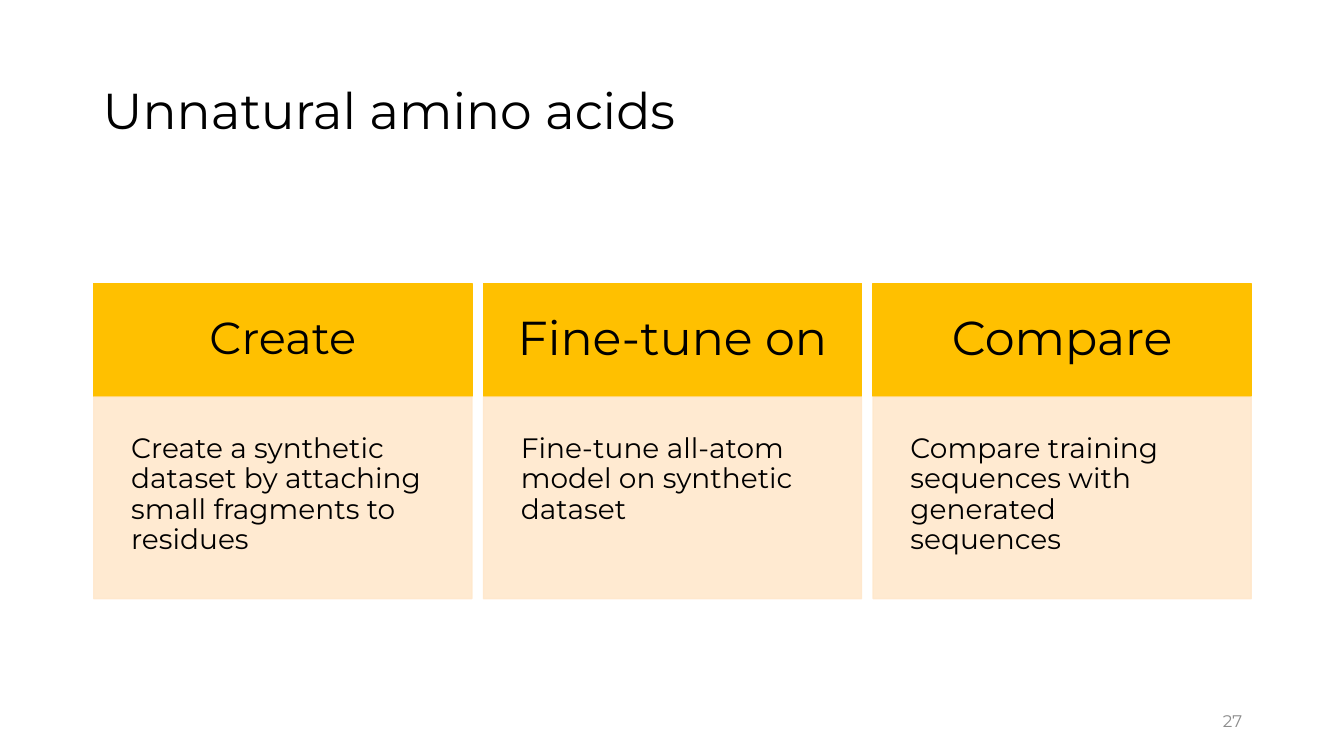
import pptx
import pptx.util
import pptx.dml.color
import pptx.enum.shapes
import pptx.enum.text
import pptx.oxml.ns
import lxml.etree

Inches = pptx.util.Inches
ALIGN = pptx.enum.text.PP_ALIGN
ANCHOR = pptx.enum.text.MSO_ANCHOR
COLORS = {"text": "000000", "header": "FFC000", "body": "FFE8CC", "number": "8C8C8C"}


def write(sp, text, size, color="text", align=ALIGN.LEFT, anchor=ANCHOR.MIDDLE,
          inset=None, spacing=0.9):
    tf = sp.text_frame
    tf.word_wrap = True
    tf.vertical_anchor = anchor
    if inset is not None:
        tf.margin_left = tf.margin_right = Inches(inset)
        tf.margin_top = tf.margin_bottom = Inches(inset)
    p = tf.paragraphs[0]
    p.alignment = align
    p.line_spacing = spacing
    r = p.add_run()
    r.text = text
    r.font.name = "Montserrat"
    r.font.size = pptx.util.Pt(size)
    r.font.color.rgb = pptx.dml.color.RGBColor.from_string(COLORS[color])


def add_box(s, left, top, width, height, color, opacity=100):
    sp = s.shapes.add_shape(pptx.enum.shapes.MSO_SHAPE.RECTANGLE, Inches(left),
                            Inches(top), Inches(width), Inches(height))
    sp.shadow.inherit = False
    rgb = pptx.dml.color.RGBColor.from_string(COLORS[color])
    sp.fill.solid()
    sp.fill.fore_color.rgb = rgb
    sp.line.color.rgb = rgb
    sp.line.width = pptx.util.Pt(1)
    if opacity < 100:
        qn = pptx.oxml.ns.qn
        for clr in sp.element.spPr.iter(qn("a:srgbClr")):
            lxml.etree.SubElement(clr, qn("a:alpha")).set("val", str(opacity * 1000))
    return sp


prs = pptx.Presentation()
prs.slide_width = Inches(13.33)
prs.slide_height = Inches(7.5)
s = prs.slides.add_slide(prs.slide_layouts[6])

# Title
title = s.shapes.add_textbox(Inches(0.92), Inches(0.4), Inches(11.5), Inches(1.45))
write(title, "Unnatural amino acids", 36)

# Three columns: header above description
columns = [
    ("Create", 32, "Create a synthetic dataset by attaching small fragments to residues"),
    ("Fine-tune on", 34, "Fine-tune all-atom model on synthetic dataset"),
    ("Compare", 34, "Compare training sequences with generated sequences"),
]
for i, (heading, size, description) in enumerate(columns):
    left = 0.93 + i * 3.865
    header = add_box(s, left, 2.81, 3.75, 1.12, "header")
    write(header, heading, size, align=ALIGN.CENTER, inset=0.3)
    body = add_box(s, left, 3.94, 3.75, 2, "body", opacity=90)
    write(body, description, 20, anchor=ANCHOR.TOP, inset=0.37)

# Slide number
number = s.shapes.add_textbox(Inches(9.42), Inches(6.95), Inches(3), Inches(0.4))
write(number, "27", 12, color="number", align=ALIGN.RIGHT, spacing=1.0)

prs.save("out.pptx")
